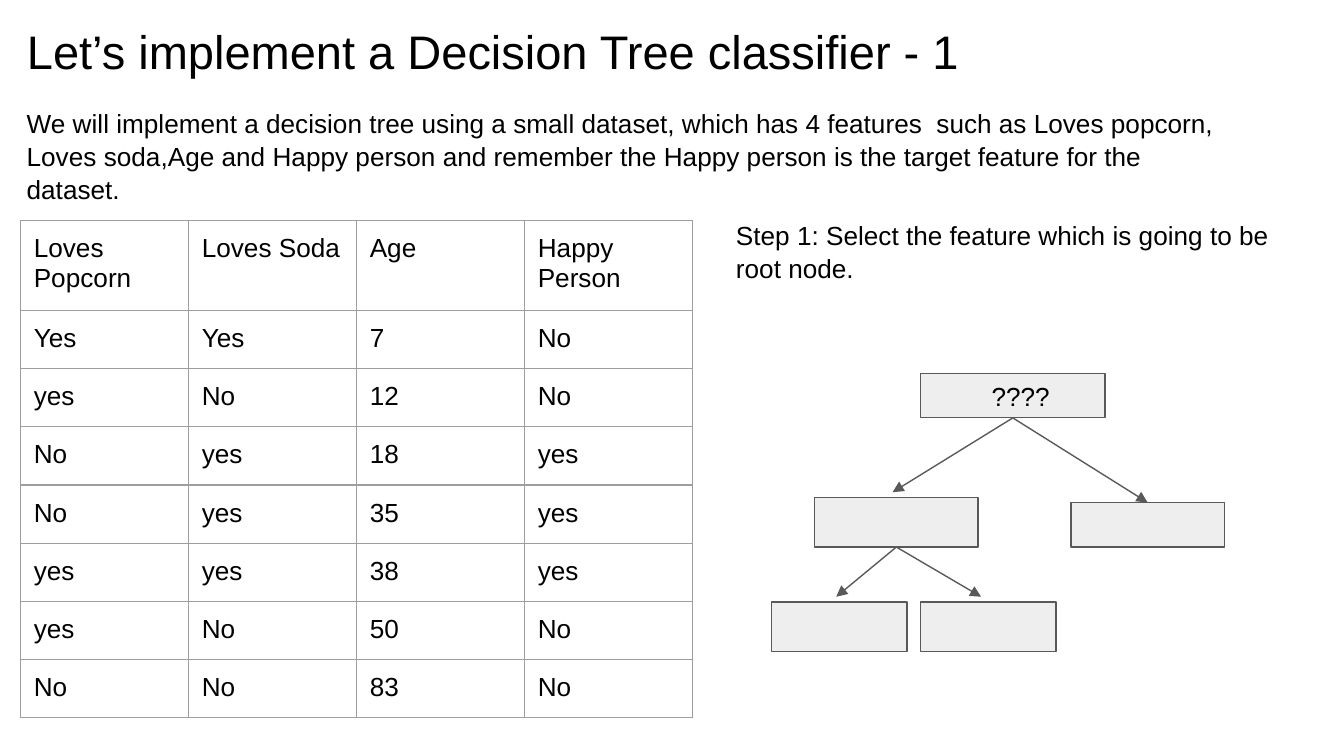
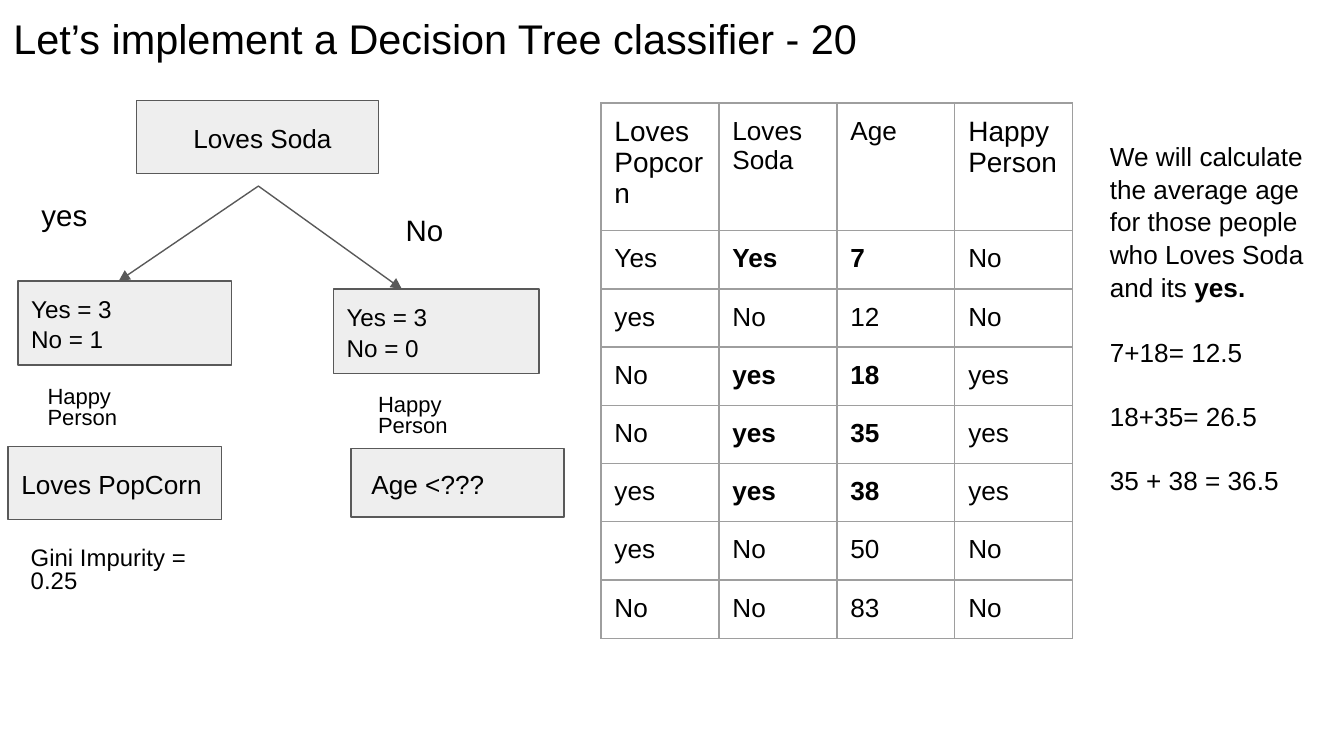
from lxml.etree import SubElement
from pptx import Presentation
from pptx.dml.color import RGBColor
from pptx.enum.shapes import MSO_CONNECTOR, MSO_SHAPE
from pptx.enum.text import MSO_ANCHOR, MSO_AUTO_SIZE, PP_ALIGN
from pptx.oxml.ns import qn
from pptx.util import Pt

# Theme: colours, type sizes, shared measures
THEME = {
    "font": "Arial",
    "ink": RGBColor.from_string("000000"),
    "fill": RGBColor.from_string("EEEEEE"),
    "line": RGBColor.from_string("595959"),
    "grid": "9E9E9E",
    "stroke": Pt(0.75),
    "inset": Pt(7.2),
    "body": 14,
    "head": 15,
    "count": 13,
    "gini": 12.8,
    "note": 11.8,
    "branch": 15.8,
}
BODY = THEME["body"]


def write(frame, lines, size, anchor=MSO_ANCHOR.TOP, space=1.05, gap=0, dent=0):
    """Write one paragraph per line; text between asterisks is bold."""
    look = {"word_wrap": True, "auto_size": MSO_AUTO_SIZE.NONE, "vertical_anchor": anchor}
    for side in ("left", "right", "top", "bottom"):
        look["margin_" + side] = THEME["inset"]
    for key, val in look.items():
        setattr(frame, key, val)
    for i, line in enumerate(lines):
        para = frame.paragraphs[0] if i == 0 else frame.add_paragraph()
        form = {"alignment": PP_ALIGN.LEFT, "line_spacing": space,
                "space_before": Pt(gap if i else 0)}
        for key, val in form.items():
            setattr(para, key, val)
        if dent:
            para._p.get_or_add_pPr().set("marL", str(Pt(dent)))
        for k, part in enumerate(line.split("*")):
            if part:
                run = para.add_run()
                run.text = part
                form = {"name": THEME["font"], "size": Pt(size), "bold": k % 2 == 1}
                for key, val in form.items():
                    setattr(run.font, key, val)
                run.font.color.rgb = THEME["ink"]


def add_grid(slide, rows, left, top, width, first, sizes):
    """Add a ruled table; sizes gives the type size of each header cell."""
    high = 31.2
    total = first + high * (len(rows) - 1)
    table = slide.shapes.add_table(len(rows), len(rows[0]), Pt(left), Pt(top),
                                   Pt(width), Pt(total)).table
    table.first_row = table.horz_banding = False
    for col in table.columns:
        col.width = Pt(width / len(rows[0]))
    for r, row in enumerate(rows):
        table.rows[r].height = Pt(high if r else first)
        for c, text in enumerate(row):
            cell = table.cell(r, c)
            write(cell.text_frame, [text], BODY if r else sizes[c], space=1.0)
            for side in ("left", "right", "top", "bottom"):
                setattr(cell, "margin_" + side, THEME["inset"])
            cell.vertical_anchor = MSO_ANCHOR.TOP
            props = cell._tc.get_or_add_tcPr()
            for tag in ("a:lnL", "a:lnR", "a:lnT", "a:lnB"):
                edge = SubElement(props, qn(tag), w=str(THEME["stroke"]))
                paint = SubElement(edge, qn("a:solidFill"))
                SubElement(paint, qn("a:srgbClr"), val=THEME["grid"])
            cell.fill.background()


deck = Presentation()
deck.slide_width, deck.slide_height = Pt(720), Pt(405)

# Slides and titles
pages = []
for tail, left, top, size in (("1", 7.2, 5, 25.2), ("20", 0, 0, 22.2)):
    page = deck.slides.add_slide(deck.slide_layouts[5])
    title = page.shapes.title
    spot = {"left": left, "top": top, "width": 671, "height": 45.4}
    for key, val in spot.items():
        setattr(title, key, Pt(val))
    write(title.text_frame, [f"Let’s implement a Decision Tree classifier - {tail}"],
          size, space=1.0)
    pages.append(page)
intro, split = pages

# Tables: the second one marks the soda lovers and their ages
rows = [
    ("Loves Popcorn", "Loves Soda", "Age", "Happy Person"),
    ("Yes", "Yes", "7", "No"),
    ("yes", "No", "12", "No"),
    ("No", "yes", "18", "yes"),
    ("No", "yes", "35", "yes"),
    ("yes", "yes", "38", "yes"),
    ("yes", "No", "50", "No"),
    ("No", "No", "83", "No"),
]
marked = [(pop, f"*{soda}*", f"*{age}*", glad) if soda.lower() == "yes"
          else (pop, soda, age, glad) for pop, soda, age, glad in rows]
add_grid(intro, rows, 10.9, 118.2, 360, 48.1, [BODY] * 4)
add_grid(split, marked, 322, 55.2, 252.8, 68.4,
         [THEME["head"], BODY, BODY, THEME["head"]])

# Tree nodes: slide, shape, box, lines, size, indent
rect, flow = MSO_SHAPE.RECTANGLE, MSO_SHAPE.FLOWCHART_PROCESS
nodes = [
    (intro, rect, (493, 200.2, 98.9, 23.6), ["????"], BODY, 31.1),
    (intro, rect, (436.3, 266.6, 87.6, 26.5), [], BODY, 0),
    (intro, rect, (573.8, 269.2, 82.2, 23.9), [], BODY, 0),
    (intro, rect, (413.2, 322.6, 72.7, 26.5), [], BODY, 0),
    (intro, rect, (493, 322.6, 72.7, 26.5), [], BODY, 0),
    (split, rect, (73.2, 53.8, 129.6, 39.3), ["Loves Soda"], BODY, 23.3),
    (split, flow, (9.6, 150.6, 114.5, 45), ["Yes = 3", "No = 1"], THEME["count"], 0),
    (split, flow, (178.6, 154.9, 110.2, 45.2), ["Yes = 3", "No = 0"], THEME["count"], 0),
    (split, flow, (4.3, 239.2, 114.2, 39), ["Loves PopCorn"], BODY, 0),
    (split, rect, (188, 240.3, 114.3, 36.8), ["Age <???"], BODY, 3.9),
]
for page, kind, box, lines, size, dent in nodes:
    node = page.shapes.add_shape(kind, *map(Pt, box))
    node.shadow.inherit = False
    node.fill.solid()
    node.fill.fore_color.rgb = THEME["fill"]
    node.line.color.rgb = THEME["line"]
    node.line.width = THEME["stroke"]
    if lines:
        write(node.text_frame, lines, size, MSO_ANCHOR.MIDDLE, dent=dent)

# Arrows between the nodes
arrows = [
    (intro, 542.6, 223.9, 478.2, 263.7),
    (intro, 542.6, 223.9, 614.8, 269.2),
    (intro, 480.2, 293.1, 448, 319.7),
    (intro, 480.2, 293.1, 525.6, 319.7),
    (split, 138.3, 99.8, 63.6, 150.6),
    (split, 138.3, 99.6, 215.3, 154.9),
]
for page, *ends in arrows:
    arrow = page.shapes.add_connector(MSO_CONNECTOR.STRAIGHT, *map(Pt, ends))
    arrow.line.color.rgb = THEME["line"]
    arrow.line.width = THEME["stroke"]
    SubElement(arrow.line._get_or_add_ln(), qn("a:tailEnd"), type="triangle")
    SubElement(arrow._element.spPr, qn("a:effectLst"))

# Text boxes: slide, box, lines, size, paragraph format
tight = {"space": 0.8}
stack = {"space": 0.4, "gap": 5.5, "dent": 3.3}
happy = ["Happy", "Person"]
texts = [
    (intro, (7.2, 49.7, 653.8, 65.5),
     ["We will implement a decision tree using a small dataset, which has 4 features  "
      "such as Loves popcorn, Loves soda,Age and Happy person and remember the Happy "
      "person is the target feature for the dataset."], BODY, {}),
    (intro, (387.2, 109.4, 312.5, 288),
     ["Step 1: Select the feature which is going to be root node."], BODY, {}),
    (split, (15.1, 102.2, 67.7, 29.5), ["yes"], THEME["branch"], tight),
    (split, (210.2, 110.2, 55.4, 29.5), ["No"], THEME["branch"], tight),
    (split, (15.1, 205.2, 92.2, 29.5), happy, THEME["note"], stack),
    (split, (192.2, 209.5, 87.1, 29.5), happy, THEME["note"], stack),
    (split, (9.4, 286.6, 110.2, 36.7), ["Gini Impurity = 0.25"], THEME["gini"], tight),
    (split, (587.5, 67, 129.6, 270.7),
     ["We will calculate the average age for those people who Loves Soda and its *yes.*",
      "7+18= 12.5", "18+35= 26.5", "35 + 38 = 36.5"], BODY, {"gap": 16.8}),
]
for page, box, lines, size, form in texts:
    area = page.shapes.add_textbox(*map(Pt, box))
    write(area.text_frame, lines, size, **form)

deck.save("out.pptx")
